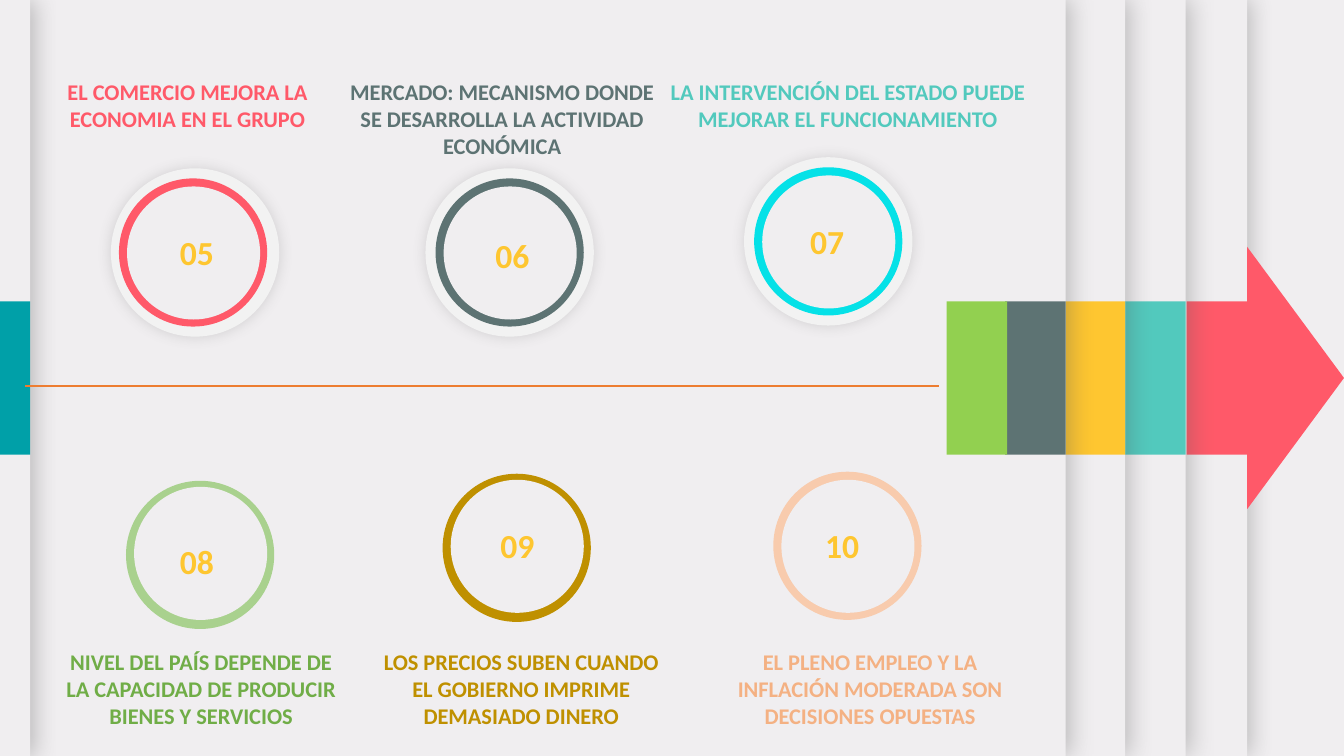
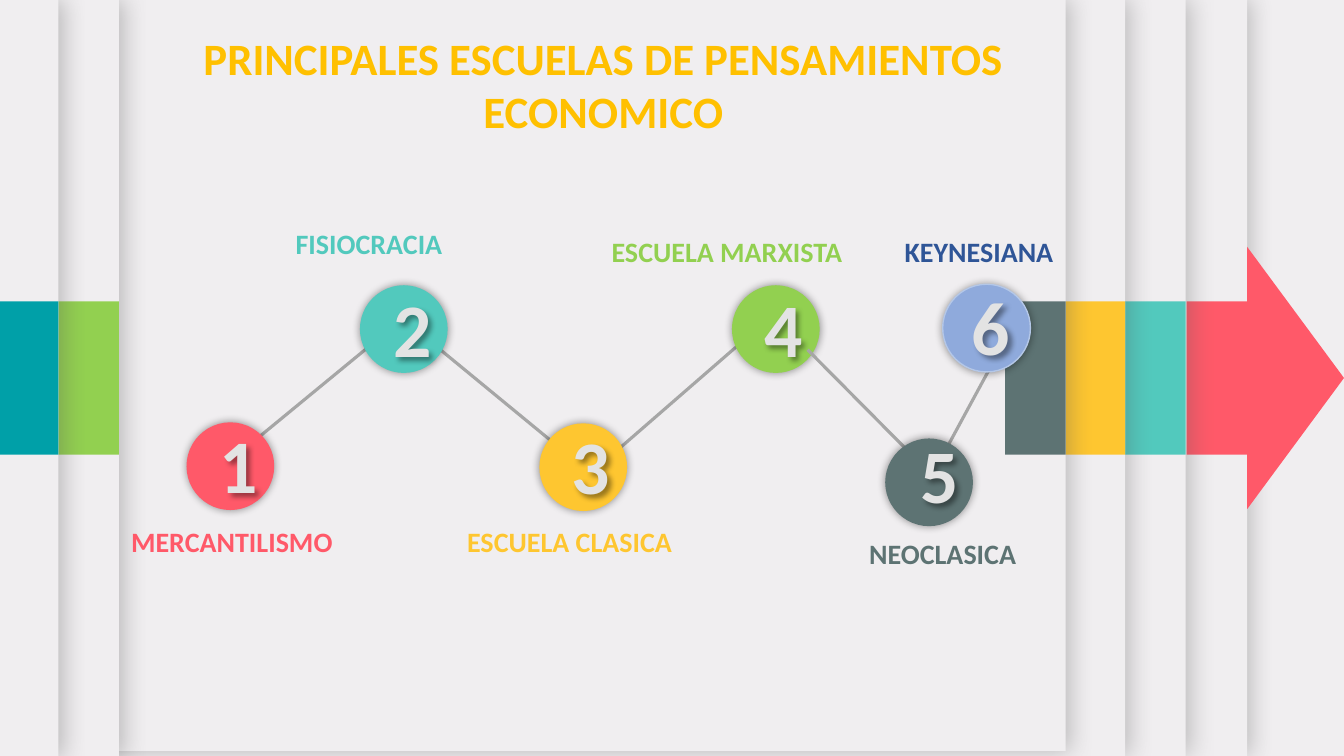
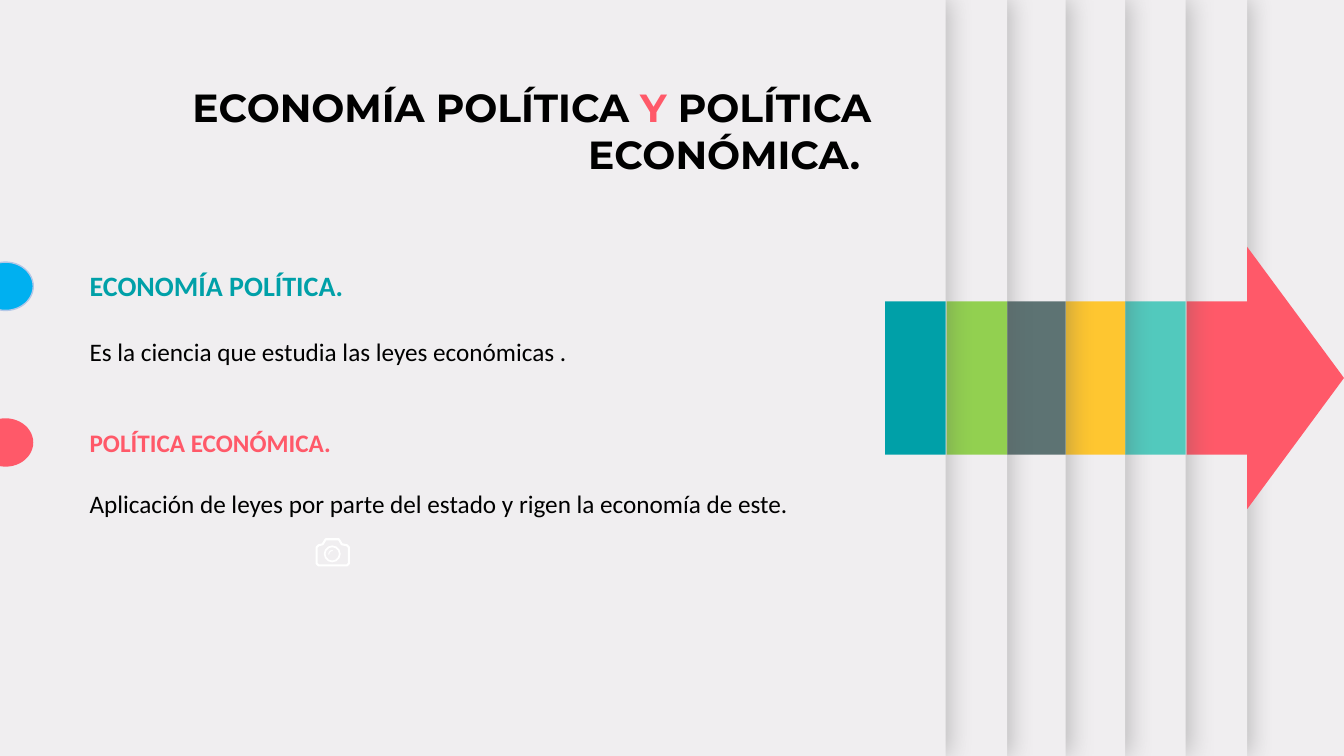
import lxml.etree
import pptx
import pptx.dml.color
import pptx.enum.shapes
import pptx.enum.text
import pptx.oxml.ns
import pptx.util

PX = 9144  # EMU per px, 100 px to the inch
WIDTH, HEIGHT = 1333, 750
COLOURS = {
    "paper": "F0EEF0", "halo": "F2F2F2", "shade": "595959", "black": "000000",
    "white": "FFFFFF", "red": "FF5969", "aqua": "52C9BD", "amber": "FEC630",
    "slate": "5D7373", "green": "92D050", "teal": "00A0A8", "gold": "FFC000",
    "orange": "ED7D31", "link": "A6A6A6", "digit": "E3E3E3", "cyan": "05E1E7",
    "leaf": "70AD47", "pale leaf": "A9D18E", "ochre": "BF9000",
    "peach": "F4B183", "pale peach": "F8CBAD", "sky": "8FAADC",
    "ice": "B4C7E7", "navy": "2F5597", "azure": "00B0F0",
}
BAND_TOP, BAND_HEIGHT, BAND_WIDTH = 299, 152, 60
# Right edge and colour of each tab, from the arrow head inwards
TABS = [(1237, "red"), (1176, "aqua"), (1116, "amber"),
        (1057, "slate"), (999, "green"), (938, "teal")]
# Shadows: colour, opacity %, blur pt, distance pt, angle
SHEET_SHADOW = ("shade", 35, 17, 3, 0)
HALO_SHADOW = ("shade", 20, 10, 0, 0)
NODE_SHADOW = ("black", 40, 6, 0, 0)
DIGIT_SHADOW = ("black", 40, 4, 3, 45)

SHAPE = pptx.enum.shapes.MSO_SHAPE
ALIGN = pptx.enum.text.PP_ALIGN


def px(*lengths):
    return [pptx.util.Emu(length * PX) for length in lengths]


def rgb(name):
    return pptx.dml.color.RGBColor.from_string(COLOURS[name])


# Basic parts

def set_shadow(part, shadow=None):
    part.shadow.inherit = False
    if shadow:
        colour, opacity, blur, distance, angle = shadow
        qn = pptx.oxml.ns.qn
        effects = part.element.spPr.find(qn("a:effectLst"))
        outer = lxml.etree.SubElement(
            effects, qn("a:outerShdw"), blurRad=str(blur * 12700),
            dist=str(distance * 12700), dir=str(angle * 60000),
            algn="ctr", rotWithShape="0")
        tint = lxml.etree.SubElement(outer, qn("a:srgbClr"), val=COLOURS[colour])
        lxml.etree.SubElement(tint, qn("a:alpha"), val=str(opacity * 1000))


def paint(part, fill=None, line=None, weight=1, shadow=None):
    if fill:
        part.fill.solid()
        part.fill.fore_color.rgb = rgb(fill)
    else:
        part.fill.background()
    if line:
        part.line.color.rgb = rgb(line)
        part.line.width = pptx.util.Pt(weight)
    else:
        part.line.fill.background()
    set_shadow(part, shadow)


def add_part(slide, kind, box, fill=None, **style):
    part = slide.shapes.add_shape(kind, *px(*box))
    paint(part, fill, **style)
    return part


def add_line(slide, start, end, colour, weight):
    line = slide.shapes.add_connector(
        pptx.enum.shapes.MSO_CONNECTOR.STRAIGHT, *px(*start, *end))
    line.line.color.rgb = rgb(colour)
    line.line.width = pptx.util.Pt(weight)
    lxml.etree.SubElement(line.element.spPr, pptx.oxml.ns.qn("a:effectLst"))


def style_run(run, size, colour, bold=True, font="Calibri"):
    run.font.name = font
    run.font.size = pptx.util.Pt(size)
    run.font.bold = bold
    run.font.color.rgb = rgb(colour)


def add_text(slide, box, text, size, colour, align=ALIGN.CENTER):
    label = slide.shapes.add_textbox(*px(*box))
    label.text_frame.word_wrap = True
    label.text_frame.text = text
    paragraph = label.text_frame.paragraphs[0]
    paragraph.alignment = align
    style_run(paragraph.runs[0], size, colour)
    return label


def set_title(slide, box, pieces, size, font, align):
    """Fill the title from (text, colour) pieces and bring it to the front."""
    title = slide.shapes.title
    title.left, title.top, title.width, title.height = px(*box)
    frame = title.text_frame
    frame.word_wrap = True
    frame.auto_size = pptx.enum.text.MSO_AUTO_SIZE.NONE
    frame.vertical_anchor = pptx.enum.text.MSO_ANCHOR.TOP
    paragraph = frame.paragraphs[0]
    paragraph.alignment = align
    for text, colour in pieces:
        run = paragraph.add_run()
        run.text = text
        style_run(run, size, colour, font=font)
    title.element.getparent().append(title.element)


# Layered tabs and arrow

def add_band(slide, edge, colour):
    left = max(0, edge - BAND_WIDTH)
    add_part(slide, SHAPE.RECTANGLE,
             (left, BAND_TOP, edge - left, BAND_HEIGHT), colour)


def add_tab(slide, edge, colour, height=HEIGHT):
    add_part(slide, SHAPE.RECTANGLE, (0, 0, edge, height), "paper",
             shadow=SHEET_SHADOW)
    add_band(slide, edge, colour)


def add_arrow(slide, tabs, last_height=HEIGHT):
    for position, (edge, colour) in enumerate(tabs):
        last = position == len(tabs) - 1
        add_tab(slide, edge, colour, last_height if last else HEIGHT)
        if position == 0:
            head = add_part(slide, SHAPE.ISOSCELES_TRIANGLE,
                            (1155, 327, 260, 96), "red")
            head.rotation = 90


# Slide 1: principles

def add_principle(slide, ring, caption, number, number_at, text, colours,
                  hole_drop=8, halo_shift=None):
    x, y = ring
    ring_colour, text_colour = colours
    if halo_shift:
        add_part(slide, SHAPE.OVAL, (x - halo_shift, y - 10, 167, 167), "halo",
                 shadow=HALO_SHADOW)
    add_part(slide, SHAPE.OVAL, (x, y, 147, 147), ring_colour)
    add_part(slide, SHAPE.OVAL, (x + 8, y + hole_drop, 132, 132), "paper")
    add_text(slide, (*number_at, 84, 50), number, 24, "amber", ALIGN.RIGHT)
    add_text(slide, (*caption, 92), text, 16, text_colour)


def build_principles(slide):
    add_arrow(slide, TABS[:4])
    add_band(slide, *TABS[4])
    add_tab(slide, 30, "teal")
    add_principle(slide, (118, 177), (42, 73, 288), "05", (138, 225),
                  "EL COMERCIO MEJORA LA ECONOMIA EN EL GRUPO",
                  ("red", "red"), halo_shift=8)
    add_principle(slide, (432, 177), (329, 73, 338), "06", (451, 228),
                  "MERCADO: MECANISMO DONDE SE DESARROLLA LA ACTIVIDAD ECONÓMICA",
                  ("slate", "slate"), halo_shift=10)
    add_principle(slide, (748, 166), (646, 73, 390), "07", (763, 214),
                  "LA INTERVENCIÓN DEL ESTADO PUEDE MEJORAR EL FUNCIONAMIENTO",
                  ("cyan", "aqua"), halo_shift=10)
    add_principle(slide, (125, 477), (46, 638, 307), "08", (138, 532),
                  "NIVEL DEL PAÍS DEPENDE DE LA CAPACIDAD DE PRODUCIR BIENES Y SERVICIOS",
                  ("pale leaf", "leaf"), hole_drop=6)
    add_principle(slide, (439, 470), (366, 638, 302), "09", (456, 516),
                  "LOS PRECIOS SUBEN CUANDO EL GOBIERNO IMPRIME DEMASIADO DINERO",
                  ("ochre", "ochre"), hole_drop=6)
    add_principle(slide, (767, 468), (715, 638, 296), "10", (778, 516),
                  "EL PLENO EMPLEO Y LA INFLACIÓN MODERADA SON DECISIONES OPUESTAS",
                  ("pale peach", "peach"))
    add_line(slide, (25, 383), (931, 383), "orange", 1.5)


# Slide 2: schools of thought

def add_school(slide, node, digit_shift, number, name, name_at, fill,
               text_colour=None, line=None):
    x, y = node
    dx, dy = digit_shift
    add_part(slide, SHAPE.OVAL, (x, y, 87, 87), fill, line=line,
             shadow=NODE_SHADOW)
    digit = add_text(slide, (x + dx, y + dy, 42, 101), number, 54, "digit")
    set_shadow(digit, DIGIT_SHADOW)
    centre, top = name_at
    add_text(slide, (centre - 152, top, 304, 44), name, 20, text_colour or fill)


def build_schools(slide):
    add_arrow(slide, TABS[:4], last_height=745)
    add_tab(slide, 118, "green")
    add_tab(slide, 58, "teal")
    for start, end in [((226, 459), (373, 338)), ((562, 450), (432, 343)),
                       ((590, 466), (743, 333)), ((930, 461), (982, 365))]:
        add_line(slide, start, end, "link", 2.25)
    add_school(slide, (185, 419), (23, -9), "1", "MERCANTILISMO",
               (230, 515), "red")
    add_school(slide, (357, 283), (23, -8), "2", "FISIOCRACIA",
               (366, 220), "aqua")
    add_school(slide, (535, 420), (22, -9), "3", "ESCUELA CLASICA",
               (565, 515), "amber")
    add_school(slide, (726, 283), (22, -8), "4", "ESCUELA MARXISTA",
               (721, 228), "green")
    # This link lies over node 4 and under node 5
    add_line(slide, (918, 465), (801, 347), "link", 2.25)
    add_school(slide, (878, 435), (25, -15), "5", "NEOCLASICA",
               (935, 527), "slate")
    add_school(slide, (935, 282), (19, -9), "6", "KEYNESIANA",
               (971, 228), "sky", "navy", line="ice")
    set_title(slide, (186, 25, 825, 118),
              [("PRINCIPALES ESCUELAS DE PENSAMIENTOS ECONOMICO", "gold")],
              32, "Calibri", ALIGN.CENTER)


# Slide 3: definitions

def add_definitions(slide, box):
    # Text, size, colour, bold, space before
    lines = [
        ("ECONOMÍA POLÍTICA. ", 20, "teal", True, 0),
        ("Es la ciencia que estudia las leyes económicas .", 18, "black", False, 24.4),
        ("POLÍTICA ECONÓMICA. ", 18, "red", True, 44),
        ("Aplicación de leyes por parte del estado y rigen la economía de este. ",
         18, "black", False, 22),
    ]
    frame = slide.shapes.add_textbox(*px(*box)).text_frame
    frame.word_wrap = True
    for position, (text, size, colour, bold, gap) in enumerate(lines):
        paragraph = frame.add_paragraph() if position else frame.paragraphs[0]
        paragraph.text = text
        paragraph.alignment = ALIGN.LEFT
        if gap:
            paragraph.space_before = pptx.util.Pt(gap)
        style_run(paragraph.runs[0], size, colour, bold)


def add_camera(slide, x, y):
    outline = [(1, 9), (3, 7), (7, 6), (10, 1), (23, 1), (26, 6), (31, 7),
               (33, 9), (33, 25), (31, 27), (3, 27), (1, 25)]
    points = [(x + dx, y + dy) for dx, dy in outline]
    builder = slide.shapes.build_freeform(*points[0], scale=PX)
    builder.add_line_segments(points[1:], close=True)
    paint(builder.convert_to_shape(), line="white", weight=1.5)
    add_part(slide, SHAPE.OVAL, (x + 9, y + 8, 15, 15), line="white", weight=1.25)
    glint = add_part(slide, SHAPE.ARC, (x + 13, y + 12, 8, 8),
                     line="white", weight=0.75)
    glint.rotation = 270


def build_definitions(slide):
    add_arrow(slide, TABS)
    add_definitions(slide, (79, 261, 832, 259))
    set_title(slide, (0, 78, 874, 104),
              [("ECONOMÍA POLÍTICA ", "black"), ("Y ", "red"),
               ("POLÍTICA ECONÓMICA. ", "black")],
              28, "Montserrat", ALIGN.RIGHT)
    add_part(slide, SHAPE.OVAL, (-22, 415, 55, 48), "red")
    add_part(slide, SHAPE.OVAL, (-22, 260, 55, 48), "azure", line="ice")
    add_camera(slide, 313, 534)


def main():
    deck = pptx.Presentation()
    deck.slide_width, deck.slide_height = px(WIDTH, HEIGHT)
    backdrop = deck.slide_master.background.fill
    backdrop.solid()
    backdrop.fore_color.rgb = rgb("paper")
    title_only, blank = deck.slide_layouts[5], deck.slide_layouts[6]
    for layout, build in [(blank, build_principles),
                          (title_only, build_schools),
                          (title_only, build_definitions)]:
        build(deck.slides.add_slide(layout))
    deck.save("out.pptx")


if __name__ == "__main__":
    main()
